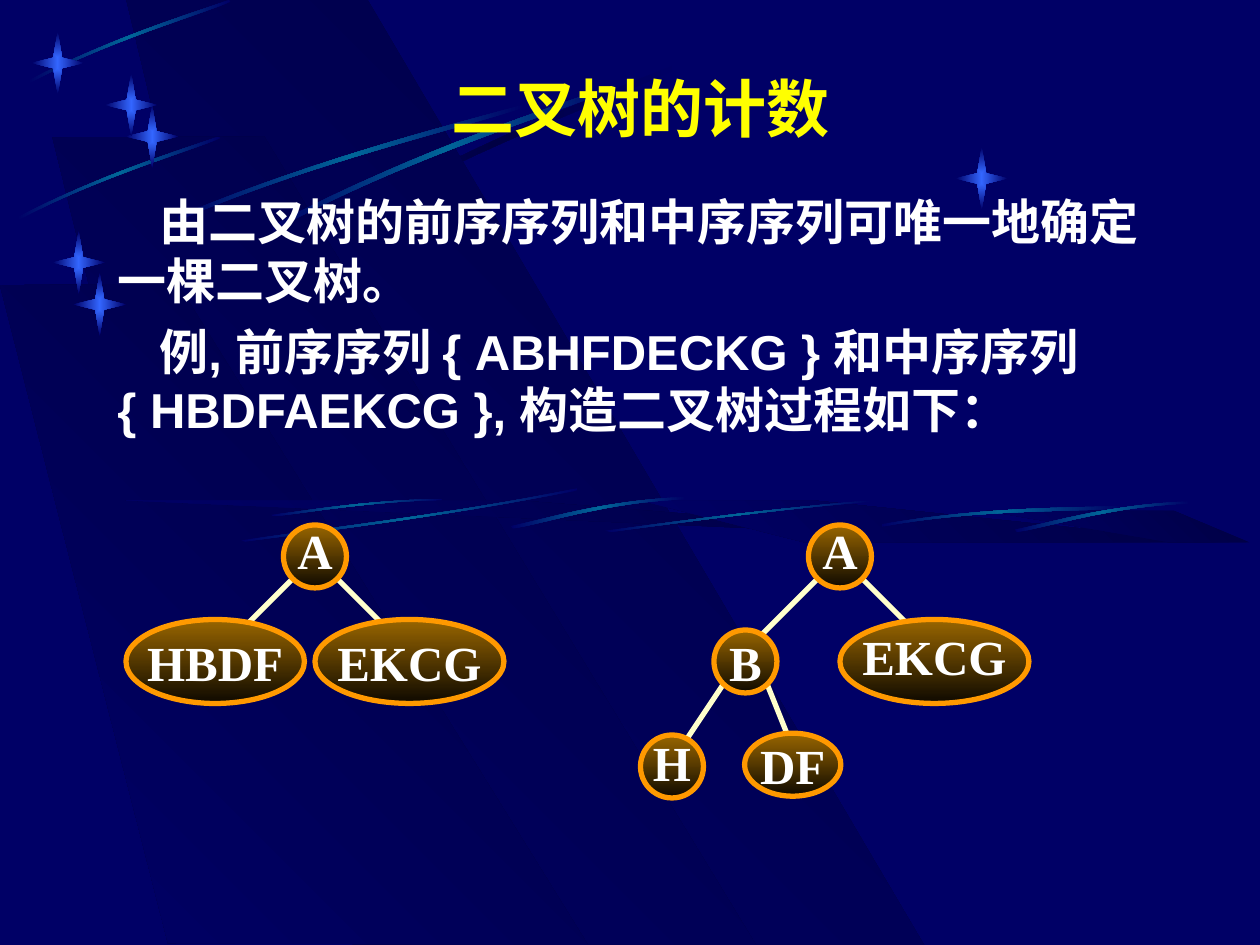
from pptx import Presentation
from pptx.dml.color import RGBColor
from pptx.enum.shapes import MSO_CONNECTOR as CONNECTOR, MSO_SHAPE as SHAPE
from pptx.enum.text import MSO_ANCHOR as ANCHOR, PP_ALIGN as ALIGN
from pptx.oxml import parse_xml
from pptx.oxml.ns import nsdecls
from pptx.util import Pt

COLORS = {
    "navy": "000066", "shade": "000044", "teal": "006699", "spark": "3366FF",
    "title": "FFFF00", "text": "FFFFFF", "edge": "FFFFCC",
    "rim": "FF9900", "node_top": "996600", "node_bottom": "0E0900",
}

# Background polygons, in slide coordinates
BANDS = [
    [(201.5, 539), (528, 540), (209.5, -1), (72, -1)],
    [(144, 539), (432, 540), (151, 78), (30, 78.5)],
    [(96, 539), (336, 540), (101.5, 162), (0, 163)],
    [(72, 286), (478, 304), (524, 304), (297, 286)],
    [(460, 310), (696, 310), (465, 286), (366, 286)],
    [(671, 292), (564, 292), (669, 310), (714, 310)],
]

# Streak outlines as two cubic curves, in fractions of their box
SWEEP = [(0, .96), (.43, .43), (.82, .15), (.99, 0),
         (1, .02), (.83, .19), (.38, .5), (0, 1)]
SWEEP_TURNED = [(1 - x, 1 - y) for x, y in SWEEP]
GLIDE = [(.99, 0), (.5, .36), (.16, .8), (0, .96),
         (.02, 1), (.23, .76), (.68, .24), (1, .04)]
ARC = [(.99, 0), (.51, .12), (.17, .75), (0, .92),
       (.01, 1), (.17, .88), (.57, .12), (1, .08)]
RIDGE = [(0, .88), (.45, 0), (.83, .12), (1, 0),
         (1, .12), (.83, .31), (.4, .12), (0, 1)]
STREAKS = [
    (GLIDE, (346, 286, 152, 18)), (ARC, (292, 284, 100, 18)),
    (RIDGE, (504, 289, 137, 12)), (ARC, (580, 286.5, 100, 17.5)),
    (ARC, (155, 285, 98, 10)), (SWEEP_TURNED, (138, 279, 192, 30.5)),
    (SWEEP, (156, 48, 198, 84)), (SWEEP, (102, 60, 198, 66)),
    (SWEEP, (10, 78, 116, 48)), (SWEEP, (16, 0, 116, 48)),
]

SPARK = [(0, 18), (12.5, 15), (15, 0), (17.5, 15),
         (30, 18), (17.5, 21), (15, 36), (12.5, 21)]
SPARK_PLACES = [(72, 60), (60, 42), (42, 156), (30, 132), (546, 84), (18, 18)]

# Trees: nodes are (label, box, lift of a separate label or None)
FIRST_TREE = {
    "edges": [(120, 30, 156, 66), (96, 30, 60, 66)],
    "nodes": [("HBDF", (0, 54, 102, 48), None), ("EKCG", (108, 54, 108, 48), None),
              ("A", (90, 0, 36, 36), 4)],
}
SECOND_TREE = {
    "edges": [(72, 90, 84, 120), (48, 90, 24, 126),
              (102, 30, 66, 66), (126, 30, 162, 66)],
    "nodes": [("A", (96, 0, 36, 36), 4), ("EKCG", (114, 54, 108, 48), 3),
              ("B", (42, 60, 36, 36), None), ("H", (0, 120, 36, 36), 2.5),
              ("DF", (59.5, 119, 55, 36), None)],
}


def rgb(name):
    return RGBColor.from_string(COLORS[name])


def fill_gradient(shape, names, angle=None):
    """Even colour stops; linear at a clockwise angle, or from the centre."""
    stops = "".join(
        f'<a:gs pos="{100000 * i // (len(names) - 1)}"><a:srgbClr val="{COLORS[name]}"/></a:gs>'
        for i, name in enumerate(names))
    if angle is None:
        course = ('<a:path path="rect"><a:fillToRect l="50000" t="50000" '
                  'r="50000" b="50000"/></a:path>')
    else:
        course = f'<a:lin ang="{angle * 60000}" scaled="1"/>'
    gradient = parse_xml(f'<a:gradFill {nsdecls("a")} rotWithShape="1">'
                         f'<a:gsLst>{stops}</a:gsLst>{course}</a:gradFill>')
    shape.element.spPr.insert(2, gradient)  # after position and geometry
    shape.shadow.inherit = False


def add_outline(slide, points, names, angle=None):
    (x, y), *rest = [(Pt(x), Pt(y)) for x, y in points]
    builder = slide.shapes.build_freeform(x, y)
    builder.add_line_segments(rest, close=True)
    shape = builder.convert_to_shape()
    fill_gradient(shape, names, angle)
    shape.line.fill.background()


def curve_points(a, b, c, d, steps=16):
    for i in range(steps + 1):
        t = i / steps
        s = 1 - t
        yield tuple(s**3 * p + 3 * s * s * t * q + 3 * s * t * t * r + t**3 * u
                    for p, q, r, u in zip(a, b, c, d))


def add_streak(slide, outline, box, names):
    left, top, width, height = box
    placed = [(left + x * width, top + y * height) for x, y in outline]
    points = [*curve_points(*placed[:4]), *curve_points(*placed[4:])]
    add_outline(slide, points, names, 0)


def write_text(shape, *texts, size=28, font="Times New Roman", color="text",
               align=ALIGN.CENTER, anchor=ANCHOR.MIDDLE, wrap=False,
               indent=0, space=0):
    frame = shape.text_frame
    frame.word_wrap = wrap
    frame.vertical_anchor = anchor
    for i, text in enumerate(texts):
        paragraph = frame.add_paragraph() if i else frame.paragraphs[0]
        paragraph.alignment = align
        if i:
            paragraph.space_before = Pt(space)
        if indent:
            paragraph._p.get_or_add_pPr().set("indent", str(Pt(indent)))
        run = paragraph.add_run()
        run.text = text
        run.font.size, run.font.name, run.font.bold = Pt(size), font, True
        run.font.color.rgb = rgb(color)


def add_text(slide, box, *texts, **style):
    write_text(slide.shapes.add_textbox(*map(Pt, box)), *texts, **style)


def draw_backdrop(slide):
    slide.background.fill.solid()
    slide.background.fill.fore_color.rgb = rgb("navy")
    add_streak(slide, SWEEP, (180, 36, 210, 102), ["navy", "shade", "navy"])
    for band in BANDS:
        add_outline(slide, band, ["shade", "navy"], 135)
    for outline, box in STREAKS:
        add_streak(slide, outline, box, ["navy", "teal", "navy"])
    for left, top in SPARK_PLACES:
        add_outline(slide, [(left + x, top + y) for x, y in SPARK], ["spark", "navy"])


def draw_node(slide, label, box, lift):
    left, top, width, height = box
    node = slide.shapes.add_shape(SHAPE.OVAL, *map(Pt, box))
    fill_gradient(node, ["node_top", "node_bottom"], 90)
    node.line.color.rgb = rgb("rim")
    node.line.width = Pt(3)
    if lift is None:
        write_text(node, label)
    else:
        add_text(slide, (left, top + height / 2 - 20.5 - lift, width, 41), label)


def draw_tree(slide, left, top, edges, nodes):
    for x1, y1, x2, y2 in edges:
        edge = slide.shapes.add_connector(
            CONNECTOR.STRAIGHT, Pt(left + x1), Pt(top + y1), Pt(left + x2), Pt(top + y2))
        edge.line.color.rgb = rgb("edge")
        edge.line.width = Pt(3)
        edge.element.spPr.append(parse_xml(f'<a:effectLst {nsdecls("a")}/>'))
    for label, (x, y, width, height), lift in nodes:
        draw_node(slide, label, (left + x, top + y, width, height), lift)


def main():
    presentation = Presentation()
    presentation.slide_width, presentation.slide_height = Pt(720), Pt(540)
    slide = presentation.slides.add_slide(presentation.slide_layouts[6])
    draw_backdrop(slide)
    # Title and explanation
    add_text(slide, (216, 36, 300, 50), "二叉树的计数",
             size=36, color="title", anchor=ANCHOR.TOP, wrap=True)
    add_text(slide, (60, 96, 624, 168),
             "由二叉树的前序序列和中序序列可唯一地确定一棵二叉树。",
             "例, 前序序列 { ABHFDECKG } 和中序序列 { HBDFAEKCG }, 构造二叉树过程如下：",
             font="Arial", align=ALIGN.LEFT, wrap=True, indent=24, space=7)
    # Two steps of the construction
    draw_tree(slide, 72, 300, **FIRST_TREE)
    draw_tree(slide, 366, 300, **SECOND_TREE)
    presentation.save("out.pptx")


if __name__ == "__main__":
    main()
